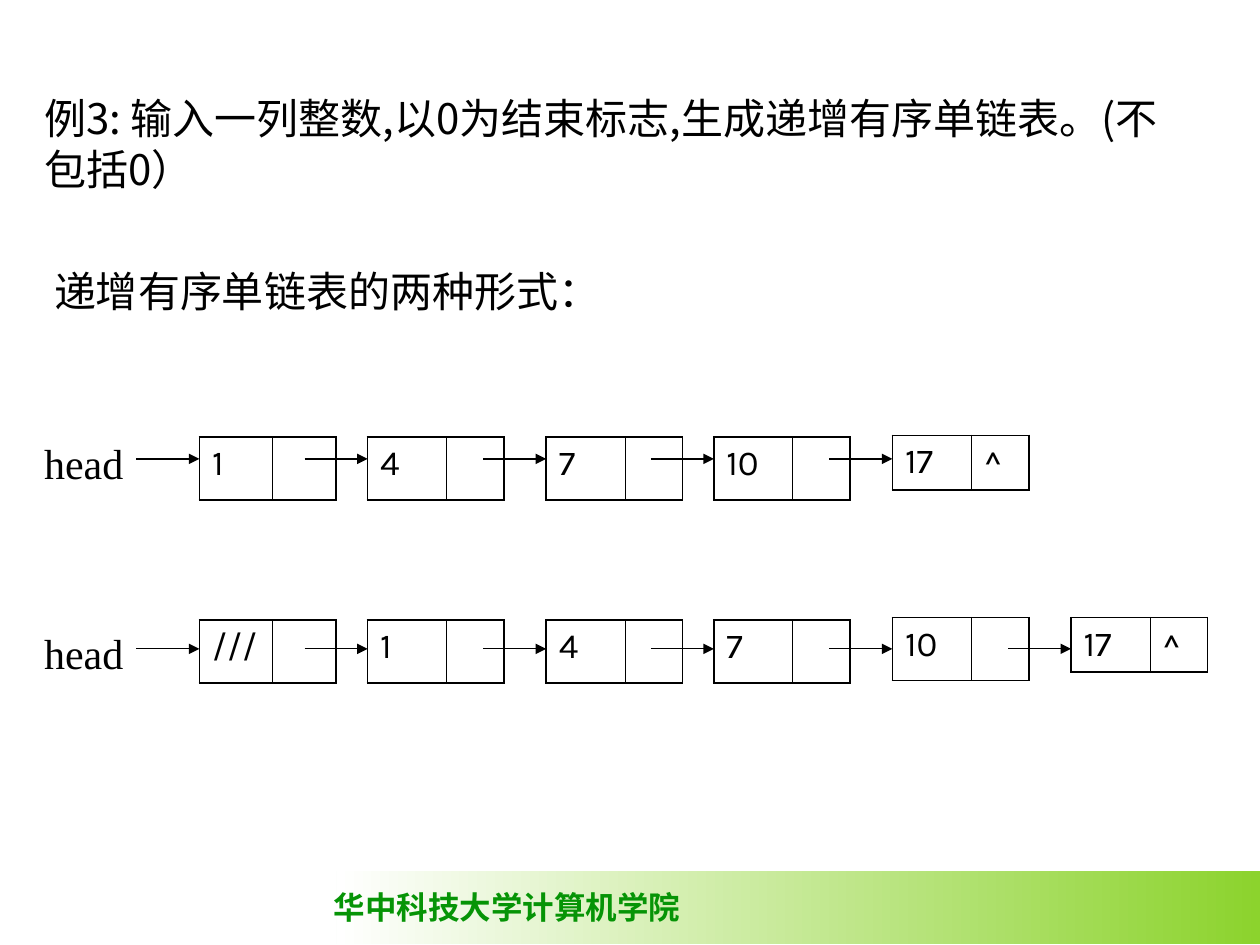
from dataclasses import dataclass

from lxml.etree import SubElement
from pptx import Presentation
from pptx.dml.color import RGBColor as RGB
from pptx.enum.shapes import MSO_CONNECTOR as CONN, MSO_SHAPE as SHAPE
from pptx.enum.text import MSO_ANCHOR as ANCHOR, MSO_AUTO_SIZE as AUTO, PP_ALIGN as ALIGN
from pptx.oxml.ns import qn
from pptx.util import Cm, Pt


@dataclass(frozen=True)
class Theme:
    ink: str = "000000"
    brand: str = "069406"
    band_from: str = "8CD32D"
    band_to: str = "FFFFFF"
    cjk: str = "Noto Sans CJK SC"
    serif: str = "Times New Roman"
    sans: str = "Karla"
    body: int = 24
    node: int = 20
    footer: int = 18
    leading: float = 1.21
    outer: float = 1.08
    inner: float = 0.45
    arrow: float = 0.75


LEFTS = [4.02, 7.41, 11.01, 14.39, 17.99, 21.59]
NODE_W, ARROW_W = 2.75, 1.27
FULL_H, LAST_H = 1.27, 1.1


class ListSlide:
    """Draws linked lists and text on one slide in a shared style."""

    def __init__(self, s, theme):
        self.s, self.theme = s, theme

    def format(self, tf, text, size, font, color, bold=False, cjk=False):
        tf.text = text
        p = tf.paragraphs[0]
        p.alignment = ALIGN.LEFT
        if cjk:
            p.line_spacing = Pt(round(size * self.theme.leading))
        for r in p.runs:
            r.font.size, r.font.name, r.font.bold = Pt(size), font, bold
            r.font.color.rgb = RGB.from_string(color)
            if cjk:
                SubElement(r.font._element, qn("a:ea"), typeface=self.theme.cjk)

    def title(self, text, x, y, w, h):
        sp = self.s.shapes.title
        sp.left, sp.top, sp.width, sp.height = Cm(x), Cm(y), Cm(w), Cm(h)
        tf = sp.text_frame
        tf.word_wrap, tf.auto_size = True, AUTO.NONE
        tf.vertical_anchor = ANCHOR.TOP
        self.format(tf, text, self.theme.body, self.theme.cjk, self.theme.ink, cjk=True)

    def text(self, text, x, y, w, h, size, font, color, **style):
        tf = self.s.shapes.add_textbox(Cm(x), Cm(y), Cm(w), Cm(h)).text_frame
        tf.word_wrap = True
        self.format(tf, text, size, font, color, **style)

    def band(self, x, y, w, h):
        sp = self.s.shapes.add_shape(SHAPE.RECTANGLE, Cm(x), Cm(y), Cm(w), Cm(h))
        sp.shadow.inherit = False
        sp.line.fill.background()
        sp.fill.gradient()
        sp.fill.gradient_angle = 180
        colors = self.theme.band_from, self.theme.band_to
        for stop, color, position in zip(sp.fill.gradient_stops, colors, (0, 1)):
            stop.color.rgb, stop.position = RGB.from_string(color), position

    def borders(self, cell, **widths):
        tc_pr = cell._tc.get_or_add_tcPr()
        for side, width in widths.items():
            ln = SubElement(tc_pr, qn(f"a:ln{side}"), w=str(Pt(width)))
            fill = SubElement(ln, qn("a:solidFill"))
            SubElement(fill, qn("a:srgbClr"), val=self.theme.ink)

    def node(self, value, link, x, y, data_w):
        t = self.theme
        h = LAST_H if link else FULL_H
        table = self.s.shapes.add_table(1, 2, Cm(x), Cm(y), Cm(NODE_W), Cm(h)).table
        table.first_row = table.horz_banding = False
        table.columns[0].width = Cm(data_w)
        table.columns[1].width = Cm(NODE_W - data_w)
        edges = (t.outer, t.inner), (t.inner, t.outer)
        for cell, text, (left, right) in zip(table.rows[0].cells, (value, link), edges):
            self.borders(cell, L=left, R=right, T=t.outer, B=t.outer)
            cell.fill.background()
            if text:
                self.format(cell.text_frame, text, t.node, t.sans, t.ink)

    def arrow(self, x1, x2, y):
        c = self.s.shapes.add_connector(CONN.STRAIGHT, Cm(x1), Cm(y), Cm(x2), Cm(y))
        c.line.color.rgb = RGB.from_string(self.theme.ink)
        c.line.width = Pt(self.theme.arrow)
        SubElement(c.line._get_or_add_ln(), qn("a:tailEnd"), type="triangle")
        SubElement(c._element.spPr, qn("a:effectLst"))

    def linked_list(self, values, head_y, tops, arrow_y):
        t = self.theme
        self.text("head", 0.64, head_y, 2.33, 1.27, t.body, t.serif, t.ink)
        for i, (value, x, top) in enumerate(zip(values, LEFTS, tops)):
            link = "^" if i == len(values) - 1 else ""
            self.node(value, link, x, top, 1.59 if i else 1.48)
            self.arrow(x - ARROW_W, x, arrow_y)


def main():
    prs = Presentation()
    prs.slide_width, prs.slide_height = Cm(25.4), Cm(19.05)
    t = Theme()
    s = ListSlide(prs.slides.add_slide(prs.slide_layouts[5]), t)
    s.band(6.78, 17.55, 18.62, 1.48)
    s.text("华中科技大学计算机学院", 6.48, 17.76, 7.6, 1.02,
           t.footer, t.serif, t.brand, bold=True, cjk=True)
    s.title("例3: 输入一列整数,以0为结束标志,生成递增有序单链表。(不包括0）",
            0.64, 1.73, 23.7, 2.4)
    s.text("递增有序单链表的两种形式：", 0.84, 5.23, 23.5, 1.3,
           t.body, t.cjk, t.ink, cjk=True)
    s.linked_list(["1", "4", "7", "10", "17"], 8.69, [8.81] * 4 + [8.78], 9.25)
    s.linked_list(["///", "1", "4", "7", "10", "17"], 12.53,
                  [12.5] * 4 + [12.45] * 2, 13.08)
    prs.save("out.pptx")


if __name__ == "__main__":
    main()
